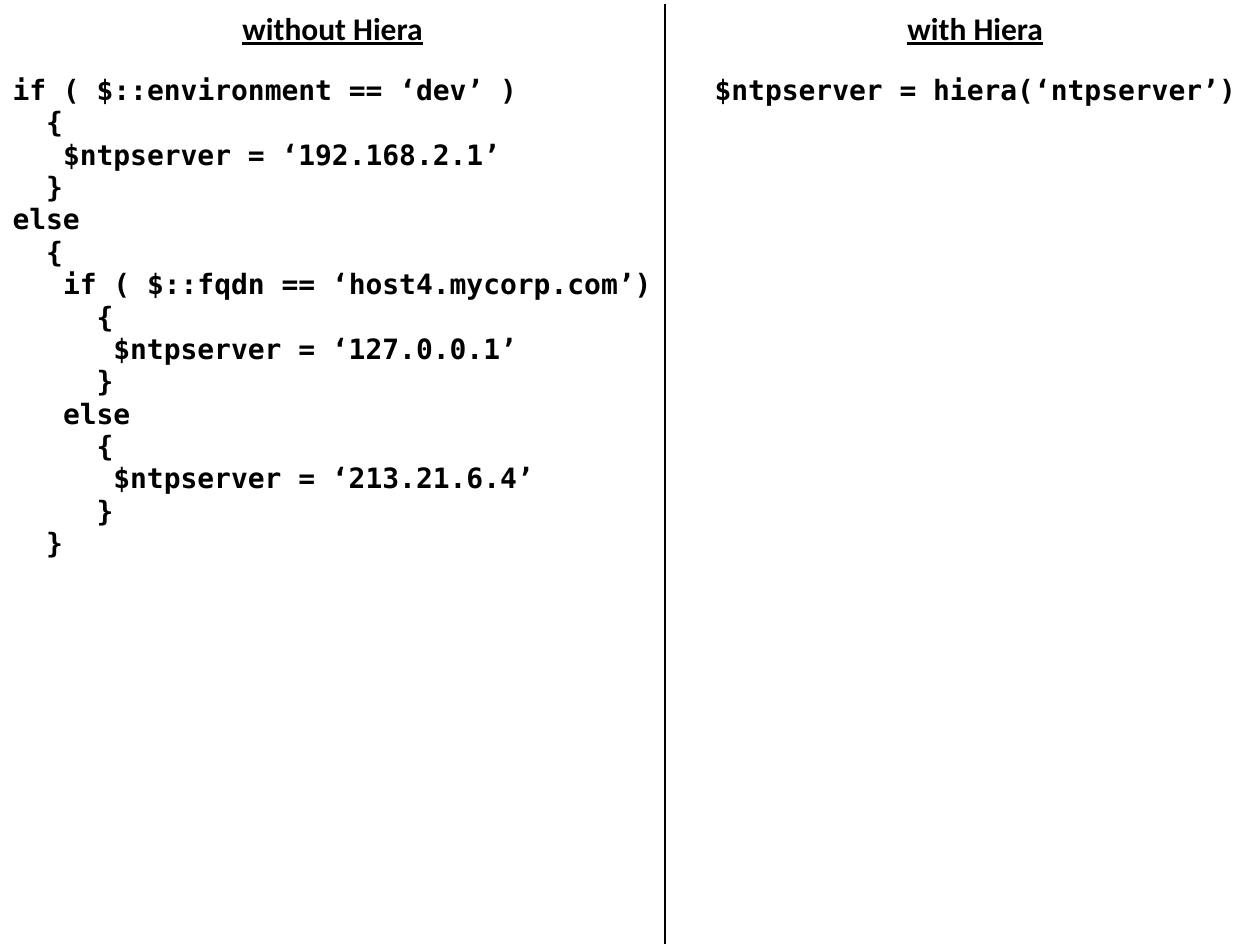
from lxml.etree import SubElement
from pptx import Presentation
from pptx.dml.color import RGBColor
from pptx.enum.text import PP_ALIGN
from pptx.oxml.ns import qn
from pptx.util import Cm, Pt

NO_STYLE = "{2D5ABB26-0587-4C30-8999-92F81FD0307C}"
CODE_SIZE = 16
CHARACTER_WIDTH = Pt(CODE_SIZE * 0.6)

HEADINGS = ["without Hiera", "with Hiera"]
CONDITIONAL_CODE = [
    (0, "if ( $::environment == ‘dev’ )"),
    (2, "{"),
    (3, "$ntpserver = ‘192.168.2.1’"),
    (2, "}"),
    (0, "else"),
    (2, "{"),
    (3, "if ( $::fqdn == ‘host4.mycorp.com’)"),
    (5, "{"),
    (6, "$ntpserver = ‘127.0.0.1’"),
    (5, "}"),
    (3, "else"),
    (5, "{"),
    (6, "$ntpserver = ‘213.21.6.4’"),
    (5, "}"),
    (2, "}"),
]
LOOKUP_CODE = [(0, "$ntpserver = hiera(‘ntpserver’)")]


def color(value):
    return RGBColor.from_string(value)


def add_run(paragraph, text, font_name, size, underline=False):
    run = paragraph.add_run()
    run.text = text
    run.font.name = font_name
    run.font.size = Pt(size)
    run.font.bold = True
    run.font.underline = underline
    run.font.color.rgb = color("000000")


def write_heading(cell, text):
    paragraph = cell.text_frame.paragraphs[0]
    paragraph.alignment = PP_ALIGN.CENTER
    add_run(paragraph, text, "Calibri", 18, underline=True)


def write_code(cell, lines, alignment):
    text_frame = cell.text_frame
    for number, (indent, text) in enumerate(lines):
        paragraph = text_frame.add_paragraph() if number else text_frame.paragraphs[0]
        paragraph.alignment = alignment
        if indent:
            properties = paragraph._p.get_or_add_pPr()
            properties.set("marL", str(indent * CHARACTER_WIDTH))
            properties.set("indent", "0")
        add_run(paragraph, text, "DejaVu Sans Mono", CODE_SIZE)


def add_border(cell, side):
    properties = cell._tc.get_or_add_tcPr()
    line = SubElement(properties, qn(f"a:{side}"), w=str(Pt(1)))
    fill = SubElement(line, qn("a:solidFill"))
    SubElement(fill, qn("a:srgbClr"), val="000000")
    properties.insert(0, line)


def add_comparison(slide, left, top, column_widths, row_heights):
    frame = slide.shapes.add_table(
        len(row_heights), len(column_widths), left, top,
        sum(column_widths), sum(row_heights))
    table = frame.table
    table.first_row = table.horz_banding = False
    table._tbl.tblPr.find(qn("a:tableStyleId")).text = NO_STYLE
    for column, width in zip(table.columns, column_widths):
        column.width = width
    for row, height in zip(table.rows, row_heights):
        row.height = height
        for cell, side in zip(row.cells, ["lnR", "lnL"]):
            cell.fill.background()
            add_border(cell, side)
    for cell, heading in zip(table.rows[0].cells, HEADINGS):
        write_heading(cell, heading)
    write_code(table.cell(1, 0), CONDITIONAL_CODE, PP_ALIGN.LEFT)
    write_code(table.cell(1, 1), LOOKUP_CODE, PP_ALIGN.CENTER)


def main():
    presentation = Presentation()
    presentation.slide_width = Cm(25.4)
    presentation.slide_height = Cm(19.05)
    slide = presentation.slides.add_slide(presentation.slide_layouts[6])
    add_comparison(slide, Cm(0), Cm(0.08),
                   [Cm(13.41), Cm(12.5)], [Cm(1.3), Cm(11.5), Cm(6.15)])
    presentation.save("out.pptx")


if __name__ == "__main__":
    main()
